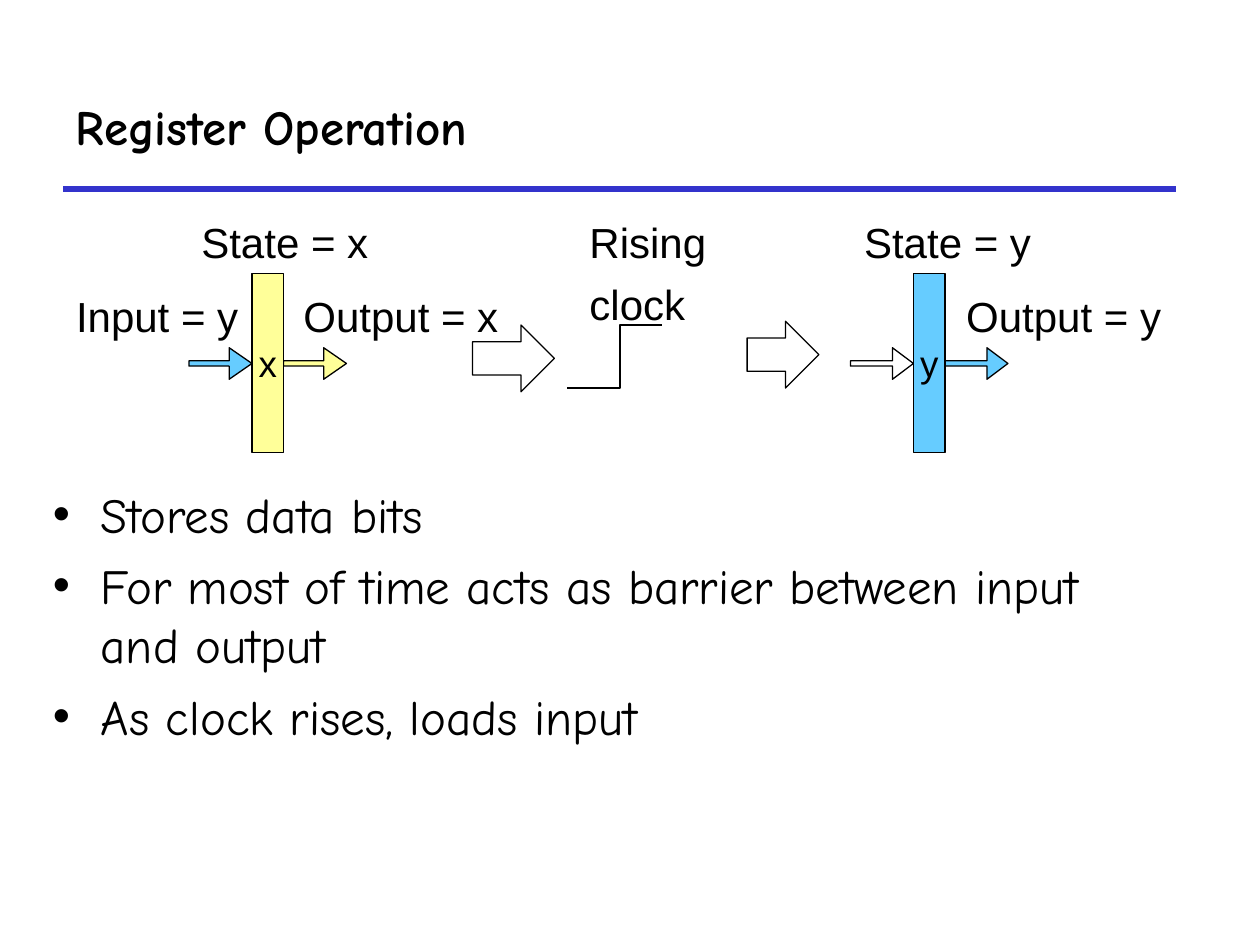
from dataclasses import dataclass
from typing import Optional

import pptx
import pptx.util
import pptx.dml.color
import pptx.enum.shapes
import pptx.enum.text
import pptx.oxml.ns
import lxml.etree

Inches = pptx.util.Inches
Pt = pptx.util.Pt
Shapes = pptx.enum.shapes.MSO_SHAPE
Align = pptx.enum.text.PP_ALIGN
Anchor = pptx.enum.text.MSO_ANCHOR
AutoSize = pptx.enum.text.MSO_AUTO_SIZE

COLORS = {
    "text": "000000",
    "rule": "3333CC",
    "blue": "66CCFF",
    "yellow": "FFFF99",
    "white": "FFFFFF",
}
HEADING_FONT = "Comic Neue"
LABEL_FONT = "Arial"


@dataclass(frozen=True)
class Register:
    left: float
    state: str
    fill: str
    input_fill: str
    head_ratio: float


@dataclass(frozen=True)
class Label:
    text: str
    left: float
    top: float
    width: float
    height: float = 0.51
    align: Align = Align.LEFT
    wrap: bool = False


@dataclass(frozen=True)
class Step:
    left: float
    top: float
    width: float
    height: float = 0.53


def rgb(name: str) -> pptx.dml.color.RGBColor:
    return pptx.dml.color.RGBColor.from_string(COLORS[name])


def place(shape, left: float, top: float, width: float, height: float) -> None:
    shape.left, shape.top = Inches(left), Inches(top)
    shape.width, shape.height = Inches(width), Inches(height)


def format_paragraph(paragraph, font: str, size: float, leading: float,
                     align: Align = Align.LEFT, bold: bool = False) -> None:
    paragraph.alignment = align
    paragraph.line_spacing = Pt(leading)
    paragraph.space_before = Pt(0)
    paragraph.font.name = font
    paragraph.font.size = Pt(size)
    paragraph.font.bold = bold
    paragraph.font.color.rgb = rgb("text")


def outline(shape, fill: Optional[str]) -> None:
    shape.shadow.inherit = False
    if fill is None:
        shape.fill.background()
    else:
        shape.fill.solid()
        shape.fill.fore_color.rgb = rgb(fill)
    shape.line.color.rgb = rgb("text")
    shape.line.width = Pt(0.75)


def add_outlined(slide, kind: Shapes, left: float, top: float, width: float,
                 height: float, fill: Optional[str] = None):
    shape = slide.shapes.add_shape(
        kind, Inches(left), Inches(top), Inches(width), Inches(height))
    outline(shape, fill)
    return shape


def add_label(slide, label: Label) -> None:
    box = slide.shapes.add_textbox(
        Inches(label.left), Inches(label.top),
        Inches(label.width), Inches(label.height))
    frame = box.text_frame
    frame.word_wrap = label.wrap
    frame.text = label.text
    for index, paragraph in enumerate(frame.paragraphs):
        format_paragraph(paragraph, LABEL_FONT, 24, 29, label.align)
        if index:
            paragraph.space_before = Pt(6)


def add_register(slide, register: Register) -> None:
    # Input and output arrows sit on either side of the bar
    for offset, fill in ((-0.5, register.input_fill), (0.25, register.fill)):
        arrow = add_outlined(slide, Shapes.RIGHT_ARROW,
                             register.left + offset, 2.76, 0.5, 0.25, fill)
        arrow.adjustments[0] = 0.167
        arrow.adjustments[1] = register.head_ratio
    bar = add_outlined(slide, Shapes.RECTANGLE,
                       register.left, 2.17, 0.25, 1.42, register.fill)
    frame = bar.text_frame
    frame.word_wrap = False
    frame.vertical_anchor = Anchor.MIDDLE
    frame.text = register.state
    format_paragraph(frame.paragraphs[0], LABEL_FONT, 21, 25.4, Align.CENTER)


def add_clock_edge(slide) -> None:
    builder = slide.shapes.build_freeform(
        Inches(4.5), Inches(3.08))
    corners = ((4.92, 3.08), (4.92, 2.58), (5.25, 2.58))
    builder.add_line_segments(
        [(Inches(x), Inches(y)) for x, y in corners], close=False)
    outline(builder.convert_to_shape(), None)


def add_title(slide, text: str) -> None:
    title = slide.shapes.title
    place(title, 0.5, 0.5, 8.83, 1)
    title.text_frame.text = text
    title.text_frame.vertical_anchor = Anchor.MIDDLE
    title.text_frame.auto_size = AutoSize.NONE
    format_paragraph(title.text_frame.paragraphs[0], HEADING_FONT, 28, 33.8, bold=True)

    # Rule below the title
    rule = slide.shapes.add_connector(
        pptx.enum.shapes.MSO_CONNECTOR.STRAIGHT,
        Inches(0.5), Inches(1.5), Inches(9.33), Inches(1.5))
    rule.line.color.rgb = rgb("rule")
    rule.line.width = Pt(3)
    lxml.etree.SubElement(rule._element.spPr, pptx.oxml.ns.qn("a:effectLst"))


def add_bullets(slide, lines: list[str]) -> None:
    body = slide.placeholders[1]
    place(body, 0.32, 3.79, 9.08, 2.79)
    frame = body.text_frame
    frame.text = "\n".join(lines)
    frame.auto_size = AutoSize.NONE
    for index, paragraph in enumerate(frame.paragraphs):
        properties = paragraph._p.get_or_add_pPr()
        properties.set("marL", str(Inches(0.38)))
        properties.set("indent", str(-Inches(0.38)))
        bullet = lxml.etree.SubElement(properties, pptx.oxml.ns.qn("a:buChar"))
        bullet.set("char", "•")
        format_paragraph(paragraph, HEADING_FONT, 28, 33.8)
        if index:
            paragraph.space_before = Pt(7)


def main() -> None:
    presentation = pptx.Presentation()
    presentation.slide_width = Inches(10)
    presentation.slide_height = Inches(7.5)
    slide = presentation.slides.add_slide(presentation.slide_layouts[1])

    add_title(slide, "Register Operation")
    add_bullets(slide, [
        "Stores data bits",
        "For most of time acts as barrier between input and output",
        "As clock rises, loads input",
    ])

    # Clock edge and captions
    add_clock_edge(slide)
    for label in (
        Label("State = x", 1.5, 1.67, 1.54),
        Label("Rising\nclock", 4.58, 1.67, 1.5, 0.99, wrap=True),
        Label("Output = x", 2.31, 2.25, 1.76),
        Label("Input = y", 0.49, 2.25, 1.5, align=Align.RIGHT),
        Label("State = y", 6.76, 1.67, 1.54),
        Label("Output = y", 7.57, 2.25, 1.76),
    ):
        add_label(slide, label)

    # Register before and after the edge
    add_register(slide, Register(2, "x", "yellow", "blue", 0.722))
    add_register(slide, Register(7.25, "y", "blue", "white", 0.666))

    # Arrows between the stages
    for step in (Step(3.75, 2.58, 0.65), Step(5.93, 2.55, 0.57)):
        add_outlined(slide, Shapes.RIGHT_ARROW,
                     step.left, step.top, step.width, step.height)

    presentation.save("out.pptx")


if __name__ == "__main__":
    main()
